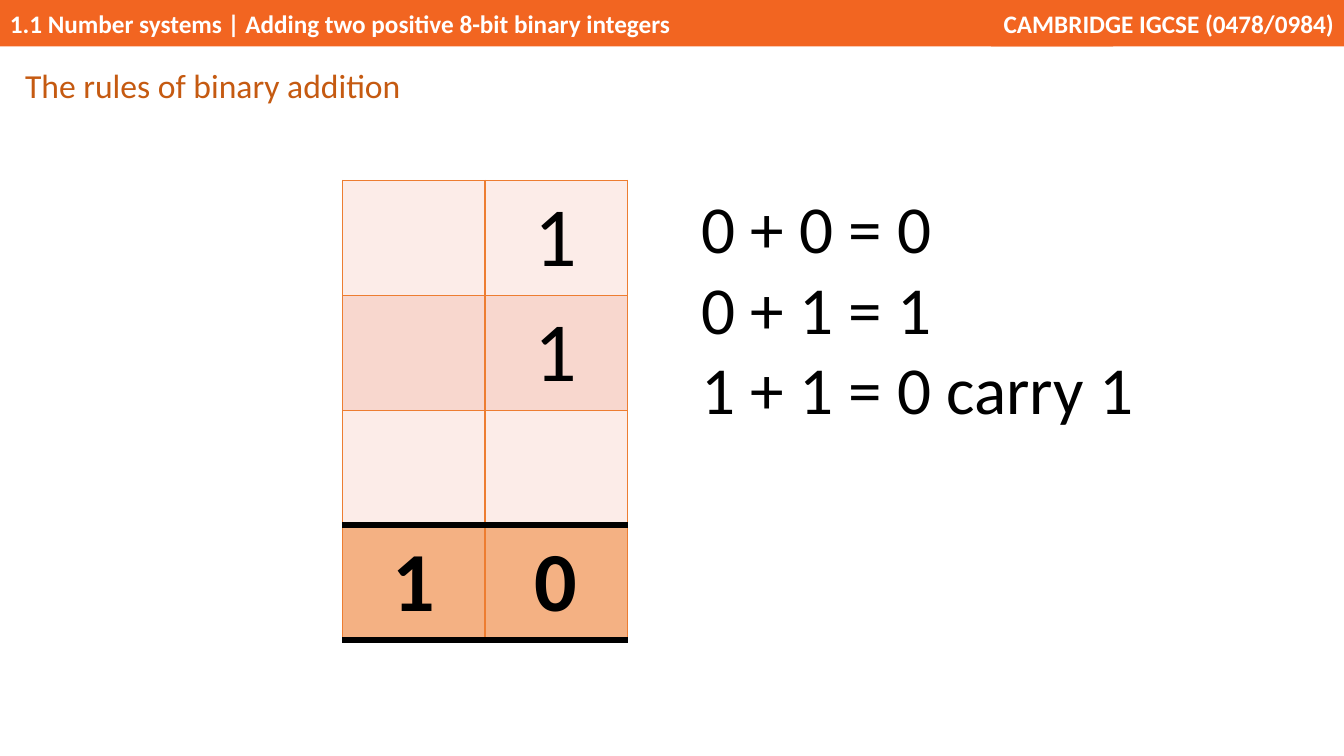
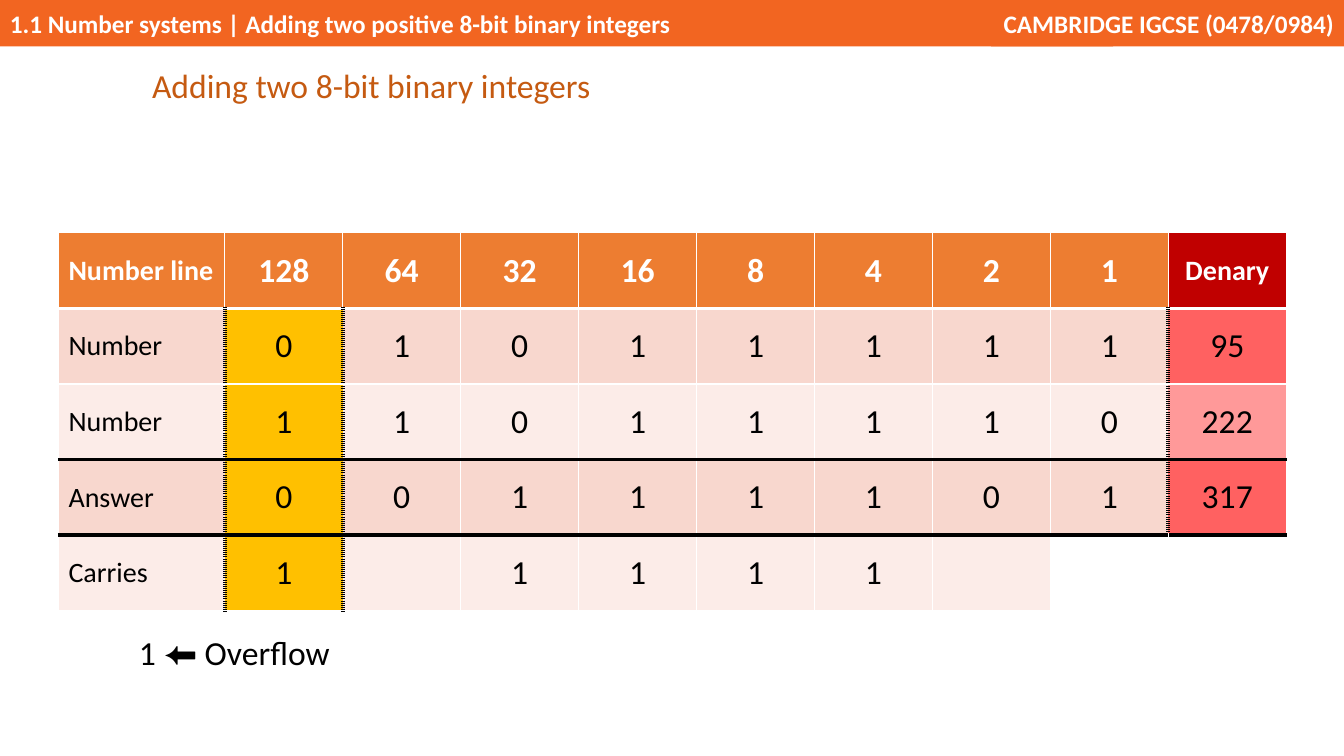
from lxml.etree import SubElement
from pptx import Presentation
from pptx.dml.color import RGBColor
from pptx.enum.shapes import MSO_SHAPE as Shape
from pptx.enum.text import MSO_ANCHOR as Anchor, MSO_AUTO_SIZE as AutoSize, PP_ALIGN as Align
from pptx.oxml.ns import qn
from pptx.util import Emu, Pt

PX = 9144  # 100 px to the inch
FONT = "Calibri"
WHITE, BLACK = "FFFFFF", "000000"
BAND, TITLE = "F26521", "C55A11"
ORANGE, PALE, PINK = "ED7D31", "FCECE8", "F8D7CE"
ANSWER, GOLD = "F4B183", "FFC000"
DARK_RED, RED, LIGHT_RED = "C00000", "FF6161", "FF9999"


def px(*lengths):
    return [Emu(length * PX) for length in lengths]


def rgb(value):
    return RGBColor.from_string(value)


def write(frame, text, size=24, color=BLACK, bold=False, align=Align.LEFT,
          line_spacing=None, space_after=None):
    """Put each line of text into its own paragraph of the frame."""
    for index, line in enumerate(text.split("\n")):
        para = frame.paragraphs[0] if index == 0 else frame.add_paragraph()
        para.alignment = align
        para.line_spacing = line_spacing
        para.space_after = space_after
        span = para.add_run()
        span.text = line
        span.font.name = FONT
        span.font.size = Pt(size)
        span.font.bold = bold
        span.font.color.rgb = rgb(color)


def add_text(slide, at, text, wrap=True, **text_format):
    frame = slide.shapes.add_textbox(*px(*at)).text_frame
    frame.word_wrap = wrap
    frame.auto_size = AutoSize.SHAPE_TO_FIT_TEXT
    write(frame, text, **text_format)


def add_note(slide, left, top, text, color=BLACK):
    add_text(slide, (left, top, 480, 51), text, color=color,
             line_spacing=1.07, space_after=Pt(8))


def add_band(slide, left, width, text, align):
    band = slide.shapes.add_shape(Shape.RECTANGLE, *px(left, 0, width, 46))
    band.shadow.inherit = False
    band.fill.solid()
    band.fill.fore_color.rgb = rgb(BAND)
    band.line.fill.background()
    band.text_frame.word_wrap = True
    band.text_frame.vertical_anchor = Anchor.MIDDLE
    write(band.text_frame, text, size=18, color=WHITE, bold=True, align=align)


def add_page(deck, title, title_left):
    slide = deck.slides.add_slide(deck.slide_layouts[6])
    add_band(slide, 0, 1104,
             "1.1 Number systems | Adding two positive 8-bit binary integers", Align.LEFT)
    add_band(slide, 983, 350, "CAMBRIDGE IGCSE (0478/0984)", Align.RIGHT)
    add_note(slide, title_left, 57, title, TITLE)
    return slide


def set_border(cell, side, color, width, dash="solid"):
    """Sides must be set in the order L, R, T, B, before the fill."""
    line = SubElement(cell._tc.get_or_add_tcPr(), qn(f"a:ln{side}"), w=str(Pt(width)))
    fill = SubElement(line, qn("a:solidFill"))
    SubElement(fill, qn("a:srgbClr"), val=color)
    SubElement(line, qn("a:prstDash"), val=dash)


def add_grid(slide, left, top, widths, row_height, rows, style, horizontal, vertical):
    """Build a table; style gives a cell's fill and text format, and
    horizontal and vertical give the ruling at a grid line."""
    table = slide.shapes.add_table(
        len(rows), len(widths), *px(left, top, sum(widths), row_height * len(rows))).table
    table.first_row = table.horz_banding = False
    for column, width in zip(table.columns, widths):
        column.width = px(width)[0]
    for r, values in enumerate(rows):
        table.rows[r].height = px(row_height)[0]
        for c, value in enumerate(values):
            cell = table.cell(r, c)
            for side, ruling in (("L", vertical(r, c)), ("R", vertical(r, c + 1)),
                                 ("T", horizontal(r)), ("B", horizontal(r + 1))):
                set_border(cell, side, *ruling)
            fill, text_format = style(r, c)
            cell.fill.solid()
            cell.fill.fore_color.rgb = rgb(fill)
            cell.vertical_anchor = Anchor.MIDDLE
            if value:
                write(cell.text_frame, value, **text_format)


def add_rules_table(slide):
    thin, thick = (ORANGE, 1), (BLACK, 4.5)
    fills = [PALE, PINK, PALE, ANSWER]

    def style(r, c):
        return fills[r], dict(size=60, bold=r == 3, align=Align.CENTER)

    add_grid(slide, 340, 179, [141] * 2, 114,
             [["", "1"], ["", "1"], ["", ""], ["1", "0"]], style,
             horizontal=lambda r: thick if r >= 3 else thin,
             vertical=lambda r, c: thin)


def add_sum_table(slide):
    rows = [
        ["Number line", "128", "64", "32", "16", "8", "4", "2", "1", "Denary"],
        ["Number", *"01011111", "95"],
        ["Number", *"11011110", "222"],
        ["Answer", *"00111101", "317"],
        ["Carries", "1", "", "1", "1", "1", "1", "", "", ""],
    ]
    thin = (WHITE, 1)
    rulings = {1: (WHITE, 3), 3: (BLACK, 3), 4: (BLACK, 3)}
    dotted_rows = {1: range(1, 5), 2: range(1, 5), 9: range(1, 4)}
    denary_fills = [DARK_RED, RED, LIGHT_RED, RED, WHITE]

    def fill_of(r, c):
        if c == 9:
            return denary_fills[r]
        if r == 0:
            return ORANGE
        if c == 1:
            return GOLD
        if (r, c) == (4, 8):
            return WHITE
        return PINK if r % 2 else PALE

    def style(r, c):
        header = r == 0
        return fill_of(r, c), dict(
            size=20 if c == 0 or (header and c == 9) else 24,
            color=WHITE if header else BLACK, bold=header,
            align=Align.LEFT if c == 0 else Align.CENTER)

    add_grid(slide, 58, 231, [165] + [117] * 9, 75, rows, style,
             horizontal=lambda r: rulings.get(r, thin),
             vertical=lambda r, c: (BLACK, 3, "sysDot") if r in dotted_rows.get(c, ()) else thin)


def main():
    deck = Presentation()
    deck.slide_width, deck.slide_height = px(1333, 750)

    rules = add_page(deck, "The rules of binary addition", 15)
    add_rules_table(rules)
    add_text(rules, (686, 180, 469, 252), "0 + 0 = 0\n0 + 1 = 1\n1 + 1 = 0 carry 1",
             wrap=False, size=48)

    addition = add_page(deck, "Adding two 8-bit binary integers", 141)
    add_sum_table(addition)
    add_note(addition, 128, 619, "1 ⬅ Overflow")

    deck.save("out.pptx")


if __name__ == "__main__":
    main()
